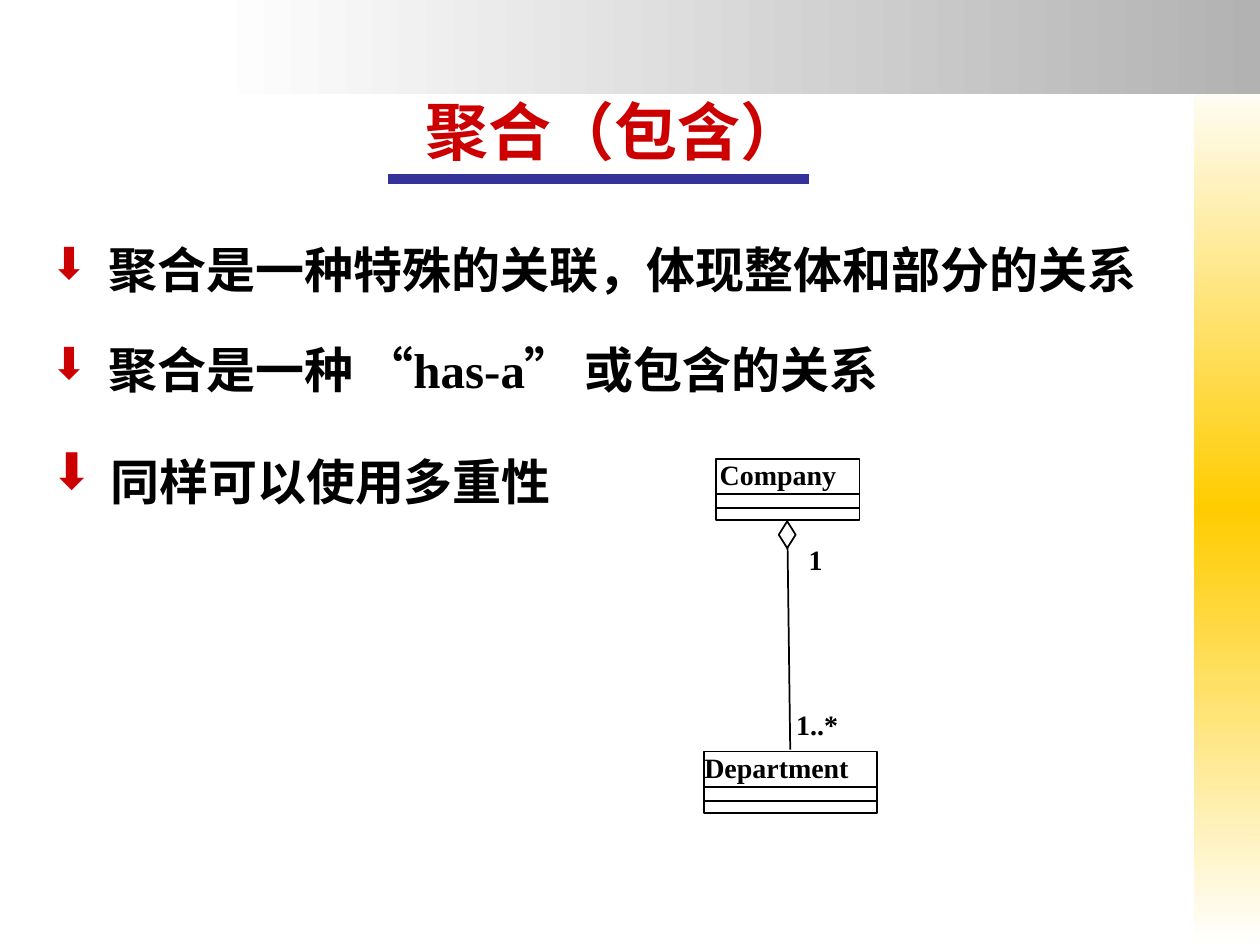
from lxml import etree
from pptx import Presentation, util as u
from pptx.dml.color import RGBColor
from pptx.enum import shapes, text
from pptx.oxml import ns

BLACK = RGBColor(0x00, 0x00, 0x00)
WHITE = RGBColor(0xFF, 0xFF, 0xFF)
RED = RGBColor(0xCC, 0x00, 0x00)
GOLD = RGBColor(0xFF, 0xCC, 0x00)
GREY = RGBColor(0xB2, 0xB2, 0xB2)
NAVY = RGBColor(0x33, 0x33, 0x99)


def add_element(parent, tag, **attributes):
    return etree.SubElement(parent, ns.qn(tag), attributes)


def write(para, words, font="Times New Roman", size=16, color=BLACK, bold=True):
    span = para.add_run()
    span.text = words
    span.font.name = font
    span.font.size = u.Pt(size)
    span.font.color.rgb = color
    span.font.bold = bold
    return span


class Painter:
    bullet = "⬇"
    bullet_color = RED
    bullet_margin = u.Cm(1.13)
    bullet_indent = u.Cm(-0.95)
    ink = BLACK
    thin = 1

    def __init__(self, page):
        self.page = page

    def rectangle(self, left, top, width, height):
        shape = self.page.shapes.add_shape(
            shapes.MSO_SHAPE.RECTANGLE, u.Cm(left), u.Cm(top), u.Cm(width), u.Cm(height))
        shape.shadow.inherit = False
        shape.fill.background()
        return shape

    def gradient_band(self, left, top, width, height, colors, angle):
        band = self.rectangle(left, top, width, height)
        band.line.fill.background()
        band.fill.gradient()
        gradient = band._element.spPr.find(ns.qn("a:gradFill"))
        for child in list(gradient):
            gradient.remove(child)
        stops = add_element(gradient, "a:gsLst")
        for index, color in enumerate(colors):
            position = 100000 * index // (len(colors) - 1)
            stop = add_element(stops, "a:gs", pos=str(position))
            add_element(stop, "a:srgbClr", val=str(color))
        add_element(gradient, "a:lin", ang=str(angle * 60000), scaled="0")

    def frame(self, left, top, width, height, margins=(0, 0), wrap=True):
        box = self.page.shapes.add_textbox(u.Cm(left), u.Cm(top), u.Cm(width), u.Cm(height))
        frame = box.text_frame
        frame.word_wrap = wrap
        frame.margin_left = frame.margin_right = u.Cm(margins[0])
        frame.margin_top = frame.margin_bottom = u.Cm(margins[1])
        return frame

    def title(self, left, top, width, height, words):
        frame = self.frame(left, top, width, height)
        frame.vertical_anchor = text.MSO_ANCHOR.BOTTOM
        para = frame.paragraphs[0]
        para.alignment = text.PP_ALIGN.CENTER
        write(para, words, size=36, color=RED)

    def bullets(self, left, top, width, height, items):
        frame = self.frame(left, top, width, height)
        for index, spans in enumerate(items):
            para = frame.add_paragraph() if index else frame.paragraphs[0]
            para.line_spacing = 1.5
            para.space_before = u.Pt(7 if index else 0)
            properties = para._p.get_or_add_pPr()
            properties.set("marL", str(int(self.bullet_margin)))
            properties.set("indent", str(int(self.bullet_indent)))
            color = add_element(properties, "a:buClr")
            add_element(color, "a:srgbClr", val=str(self.bullet_color))
            add_element(properties, "a:buSzPct", val="90000")
            add_element(properties, "a:buChar", char=self.bullet)
            for words, size in spans:
                write(para, words, size=size)

    def label(self, left, top, width, words):
        frame = self.frame(left, top, width, 0.94, margins=(0.25, 0.13), wrap=False)
        write(frame.paragraphs[0], words)

    def line(self, start, end, color=None, weight=None):
        points = [u.Cm(value) for value in (*start, *end)]
        line = self.page.shapes.add_connector(shapes.MSO_CONNECTOR.STRAIGHT, *points)
        line.line.color.rgb = color or self.ink
        line.line.width = u.Pt(weight or self.thin)
        add_element(line._element.spPr, "a:effectLst")

    def class_box(self, left, top, width, name, label_left, label_width):
        outline = self.rectangle(left, top, width, 1.24)
        outline.line.color.rgb = self.ink
        outline.line.width = u.Pt(self.thin)
        self.label(label_left, top - 0.15, label_width, name)
        for offset in (0.71, 0.99):
            self.line((left, top + offset), (left + width, top + offset))

    def diamond(self, center, top, width, height):
        middle = top + height / 2
        corners = [(center + width / 2, middle), (center, top + height),
                   (center - width / 2, middle)]
        builder = self.page.shapes.build_freeform(u.Cm(center), u.Cm(top))
        builder.add_line_segments([(u.Cm(x), u.Cm(y)) for x, y in corners], close=True)
        diamond = builder.convert_to_shape()
        diamond.shadow.inherit = False
        diamond.fill.solid()
        diamond.fill.fore_color.rgb = WHITE
        diamond.line.color.rgb = self.ink
        diamond.line.width = u.Pt(self.thin)


def main():
    deck = Presentation()
    deck.slide_width, deck.slide_height = u.Cm(25.4), u.Cm(19.05)
    painter = Painter(deck.slides.add_slide(deck.slide_layouts[6]))

    painter.gradient_band(24.08, 1.47, 1.32, 17.58, (WHITE, GOLD, WHITE), 90)
    painter.gradient_band(4.24, 0, 21.16, 1.9, (GREY, WHITE), 180)
    painter.title(0.85, 1.27, 23.07, 2.11, "聚合（包含）")
    painter.bullets(0.84, 4.23, 22.86, 6.1, [
        [(" 聚合是一种特殊的关联，体现整体和部分的关系", 28)],
        [(" 聚合是一种 “has-a” 或包含的关系", 28)],
        [(" ", 32), ("同样可以使用多重性", 28)],
    ])

    painter.class_box(14.43, 9.25, 2.9, "Company", 14.26, 3.2)
    painter.class_box(14.19, 15.15, 3.49, "Department", 13.95, 3.96)
    painter.line((15.87, 10.52), (15.93, 15.11))
    painter.diamond(15.87, 10.51, 0.34, 0.54)
    painter.label(15.8, 14.13, 1.42, "1..*")
    painter.label(16.05, 10.8, 0.79, "1")
    painter.line((7.82, 3.61), (16.31, 3.61), color=NAVY, weight=5.5)

    deck.save("out.pptx")


if __name__ == "__main__":
    main()
